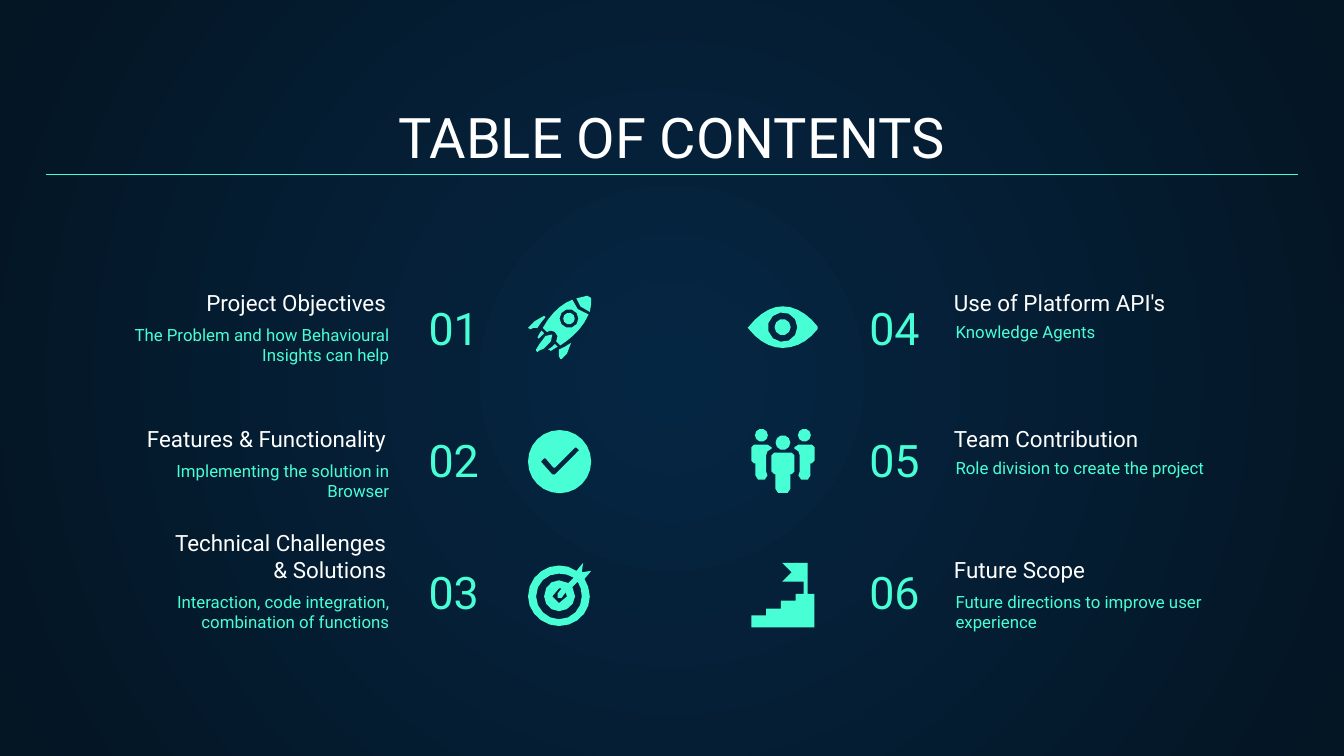
from dataclasses import dataclass
from math import cos, dist, pi, sin

from lxml import etree
from pptx import Presentation
from pptx.dml.color import RGBColor
from pptx.enum.shapes import MSO_CONNECTOR
from pptx.enum.text import MSO_ANCHOR, PP_ALIGN
from pptx.oxml.ns import qn
from pptx.util import Cm, Pt

LEFT, CENTER, RIGHT = PP_ALIGN.LEFT, PP_ALIGN.CENTER, PP_ALIGN.RIGHT
TOP, BOTTOM = MSO_ANCHOR.TOP, MSO_ANCHOR.BOTTOM
STRAIGHT = MSO_CONNECTOR.STRAIGHT
ICON_UNIT = 0.0254


@dataclass(frozen=True)
class Theme:
    font: str = "Roboto"
    white: RGBColor = RGBColor.from_string("FFFFFF")
    accent: RGBColor = RGBColor.from_string("48FFD5")
    glow: RGBColor = RGBColor.from_string("052643")
    edge: RGBColor = RGBColor.from_string("041523")
    title: float = 30
    number: float = 24
    heading: float = 12
    detail: float = 9
    rule: float = 0.75


def circle(x, y, radius):
    count = max(10, round(radius))
    angles = [2 * pi * step / count for step in range(count)]
    return [(x + radius * cos(a), y + radius * sin(a)) for a in angles]


def mirror(contour, width):
    return [tuple(width - v if i % 2 == 0 else v for i, v in enumerate(node)) for node in contour]


def flatten(contour):
    points = []
    for node in contour:
        if len(node) == 2:
            points.append(node)
            continue
        x0, y0 = points[-1]
        x1, y1, x2, y2, x3, y3 = node
        steps = max(1, round(dist((x0, y0), (x3, y3)) / 6))
        for step in range(1, steps + 1):
            t = step / steps
            a, b, c, d = (1 - t) ** 3, 3 * t * (1 - t) ** 2, 3 * t * t * (1 - t), t ** 3
            points.append((a * x0 + b * x1 + c * x2 + d * x3, a * y0 + b * y1 + c * y2 + d * y3))
    return points


ROCKET = [
    [[(10, 26), (8, 29), (7, 31), (8, 32), (11, 29), (12, 28)]],
    [[(20, 36), (18, 38), (15, 40), (17, 41), (22, 38)]],
    [[(17, 29), (13, 30), (9, 35, 7, 38, 6, 40), (6, 41), (7, 42), (8, 41),
      (10, 41, 13, 39, 17, 34), (19, 33, 19, 30, 18, 29)]],
    [[(12, 15), (10, 15, 7, 16, 5, 19), (0, 24), (2, 25), (4, 24), (7, 24),
      (9, 21, 11, 18, 13, 16)]],
    [[(32, 35), (29, 37, 26, 39, 23, 40), (23, 45), (24, 47), (25, 47), (29, 43),
      (32, 40, 33, 36, 32, 35)]],
    [circle(30.5, 17, 4.3)],
    [[(44, 0), (41, 0, 39, 1, 36, 2), (36, 4, 37, 6, 39, 8), (41, 10, 44, 12, 46, 12),
      (47, 9, 47, 5, 47, 2), (46, 1)]],
    [circle(30.5, 17, 7),
     [(33, 3), (25, 6, 17, 13, 11, 24), (14, 27), (17, 26), (20, 27), (22, 30), (21, 34),
      (24, 37), (32, 32, 41, 24, 45, 14), (42, 14, 40, 13, 37, 10), (35, 8, 34, 5, 33, 3)]],
]
CHECK = [[
    circle(23.5, 23.5, 23.5),
    [(35, 13), (36, 13), (38, 15), (37, 16), (20, 33), (18, 33), (10, 24), (10, 23),
     (12, 21), (13, 21), (19, 28), (20, 28)],
]]
TARGET = [[
    [(23, 19), (25, 19), (22, 23), (22, 26), (25, 26), (28, 22), (29, 25),
     (29, 28, 26, 30, 23, 30), (20, 30, 18, 28, 18, 25), (18, 22, 20, 19, 23, 19)],
    [(23, 8), (27, 8, 31, 9, 34, 11), (30, 15), (28, 14, 26, 13, 23, 13),
     (17, 13, 12, 18, 12, 25), (12, 31, 17, 36, 23, 36), (29, 36, 35, 31, 35, 25),
     (35, 22, 34, 20, 33, 18), (37, 14), (39, 17, 40, 21, 40, 25), (40, 34, 33, 42, 23, 42),
     (14, 42, 6, 34, 6, 25), (6, 15, 14, 8, 23, 8)],
    [(41, 0), (36, 6), (32, 3, 28, 2, 23, 2), (11, 2, 0, 12, 0, 25), (0, 37, 11, 47, 23, 47),
     (36, 47, 46, 37, 46, 25), (46, 20, 44, 15, 42, 12), (47, 6), (40, 7)],
]]
EYE = [[
    circle(26, 15.5, 6), circle(26, 15.5, 11),
    [(26, 0), (17, 0, 8, 6, 1, 15), (0, 16), (1, 17), (8, 26, 17, 31, 26, 31),
     (36, 31, 45, 26, 52, 17), (52, 15), (45, 6, 36, 0, 26, 0)],
]]
SIDE_PERSON = [
    (2, 12), (0, 14), (0, 24), (2, 26), (3, 26), (3, 35), (5, 38), (10, 38), (12, 35),
    (11, 32), (11, 20), (12, 17), (15, 15), (15, 14), (12, 12),
]
FRONT_PERSON = [
    (17, 18), (15, 20), (15, 32), (17, 34), (18, 34), (18, 45), (20, 48), (27, 48), (29, 45),
    (29, 34), (30, 34), (32, 32), (32, 20), (30, 18),
]
TEAM = [[contour] for contour in (
    circle(7.5, 5, 4.8), SIDE_PERSON, circle(39.5, 5, 4.8), mirror(SIDE_PERSON, 47),
    FRONT_PERSON, circle(23.5, 10.5, 5.5))]
STAIRS = [[[
    (23, 0), (30, 7), (23, 14), (39, 14), (39, 23), (33, 23), (33, 28), (22, 28), (22, 34),
    (11, 34), (11, 39), (0, 39), (0, 48), (47, 48), (47, 23), (42, 23), (42, 0),
]]]


class SlideWriter:
    def __init__(self, page, theme):
        self.page = page
        self.theme = theme

    def background(self):
        fill = self.page.background.fill
        fill.gradient()
        for stop, color in zip(fill.gradient_stops, (self.theme.glow, self.theme.edge)):
            stop.color.rgb = color
        gradient = self.page._element.find(".//" + qn("a:gradFill"))
        gradient.remove(gradient.find(qn("a:lin")))
        radial = etree.SubElement(gradient, qn("a:path"), {"path": "circle"})
        sides = {side: "50000" for side in "ltrb"}
        etree.SubElement(radial, qn("a:fillToRect"), sides)

    def text(self, words, left, top, width, height, size, color, align, anchor=BOTTOM):
        box = self.page.shapes.add_textbox(Cm(left), Cm(top), Cm(width), Cm(height))
        frame = box.text_frame
        frame.word_wrap = True
        frame.vertical_anchor = anchor
        frame.margin_left = frame.margin_right = Cm(0.25)
        frame.margin_top = frame.margin_bottom = Cm(0.25)
        para = frame.paragraphs[0]
        para.text = words
        para.alignment = align
        para.font.name = self.theme.font
        para.font.size = Pt(size)
        para.font.color.rgb = color

    def rule(self, left, right, top):
        line = self.page.shapes.add_connector(STRAIGHT, Cm(left), Cm(top), Cm(right), Cm(top))
        line.line.color.rgb = self.theme.accent
        line.line.width = Pt(self.theme.rule)
        etree.SubElement(line._element.spPr, qn("a:effectLst"))

    def icon(self, pieces, left, top):
        shapes = self.page.shapes
        if len(pieces) > 1:
            shapes = shapes.add_group_shape().shapes
        for contours in pieces:
            outlines = [[(Cm(left + x * ICON_UNIT), Cm(top + y * ICON_UNIT))
                         for x, y in flatten(contour)] for contour in contours]
            builder = shapes.build_freeform(*outlines[0][0])
            for index, outline in enumerate(outlines):
                if index:
                    builder.move_to(*outline[0])
                builder.add_line_segments(outline[1:], close=True)
            shape = builder.convert_to_shape()
            shape.shadow.inherit = False
            shape.fill.solid()
            shape.fill.fore_color.rgb = self.theme.accent
            shape.line.fill.background()


def main():
    theme = Theme()
    deck = Presentation()
    deck.slide_width, deck.slide_height = Cm(25.4), Cm(14.29)
    writer = SlideWriter(deck.slides.add_slide(deck.slide_layouts[6]), theme)
    writer.background()
    writer.text("TABLE OF CONTENTS", 0.86, 1.78, 23.67, 1.68, theme.title, theme.white, CENTER)
    writer.rule(0.86, 24.54, 3.3)

    heading_tops = (5.69, 8.26, 10.74)
    columns = [
        (RIGHT, LEFT, 1.78, 2.01, 5.59, 7.85, [
            ("Project Objectives", "The Problem and how Behavioural Insights can help",
             ROCKET, 9.98, 5.59),
            ("Features & Functionality", "Implementing the solution in Browser",
             CHECK, 9.98, 8.13),
            ("Technical Challenges\v& Solutions",
             "Interaction, code integration, combination of functions", TARGET, 9.98, 10.64),
        ]),
        (LEFT, RIGHT, 17.78, 17.81, 5.26, 14.35, [
            ("Use of Platform API's", "Knowledge Agents", EYE, 14.13, 5.79),
            ("Team Contribution", "Role division to create the project", TEAM, 14.2, 8.1),
            ("Future Scope", "Future directions to improve user experience",
             STAIRS, 14.2, 10.64),
        ]),
    ]
    number = 0
    for align, number_align, heading_left, detail_left, detail_width, number_left, topics in columns:
        for row, (heading, detail, icon, icon_left, icon_top) in enumerate(topics):
            number += 1
            top = heading_tops[row]
            writer.text(detail, detail_left, top + 0.2, detail_width, 1.4,
                        theme.detail, theme.accent, align, TOP)
            writer.text(f"{number:02}", number_left, 5.28 + 2.49 * row, 3.28, 1.68,
                        theme.number, theme.accent, number_align)
            writer.text(heading, heading_left, top, 5.77, 0.53,
                        theme.heading, theme.white, align)
            writer.icon(icon, icon_left, icon_top)
    deck.save("out.pptx")


if __name__ == "__main__":
    main()
